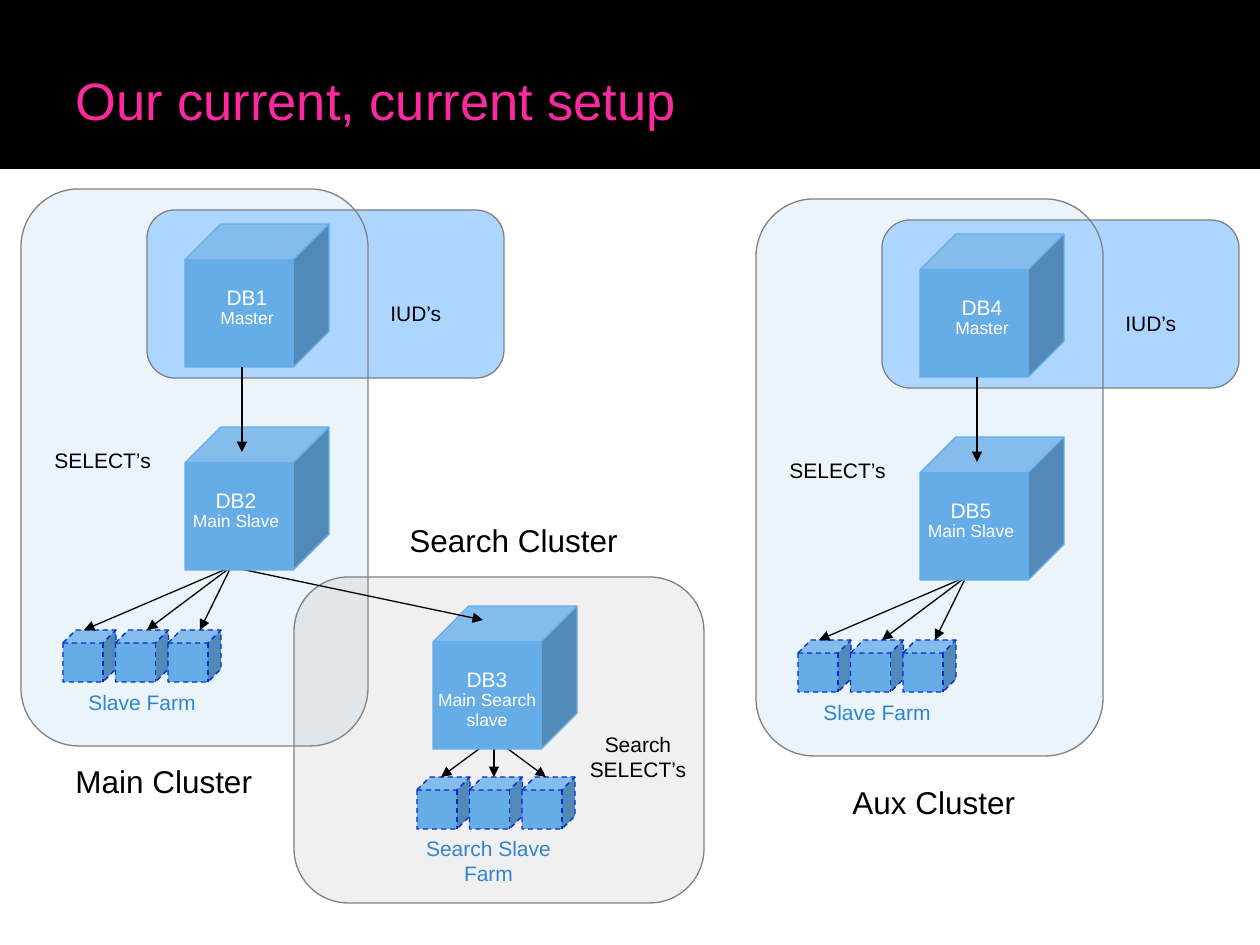
from lxml import etree
from pptx import Presentation
from pptx import util as u
from pptx.dml.color import RGBColor
from pptx.enum import dml, shapes, text
from pptx.oxml import ns

PX = u.Inches(1) / 126
BLACK = RGBColor(0x00, 0x00, 0x00)
WHITE = RGBColor(0xFF, 0xFF, 0xFF)
PINK = RGBColor(0xFF, 0x29, 0x9F)
BLUE = RGBColor(0x66, 0xAC, 0xE7)
PALE_BLUE = RGBColor(0xAC, 0xD6, 0xFF)
FARM_LINE = RGBColor(0x00, 0x2D, 0xCE)
FARM_TEXT = RGBColor(0x32, 0x84, 0xCE)
GRAY = RGBColor(0x80, 0x80, 0x80)
SEARCH_GRAY = RGBColor(0x99, 0x99, 0x99)
RECT = shapes.MSO_SHAPE.RECTANGLE
ROUND = shapes.MSO_SHAPE.ROUNDED_RECTANGLE
CUBE = shapes.MSO_SHAPE.CUBE
LEFT, CENTER = text.PP_ALIGN.LEFT, text.PP_ALIGN.CENTER

deck = Presentation()
deck.slide_width, deck.slide_height = u.Inches(10), u.Inches(7.5)
slide = deck.slides.add_slide(deck.slide_layouts[6])


def add_block(preset, x, y, width, height, fill=None, line=None, opacity=100, dashed=False):
    block = slide.shapes.add_shape(preset, *(round(n * PX) for n in (x, y, width, height)))
    block.shadow.inherit = False
    if fill is None:
        block.fill.background()
    else:
        block.fill.solid()
        block.fill.fore_color.rgb = fill
        if opacity < 100:
            color = block.fill._xPr.find(".//" + ns.qn("a:srgbClr"))
            etree.SubElement(color, ns.qn("a:alpha"), val=str(opacity * 1000))
    if line is None:
        block.line.fill.background()
    else:
        block.line.color.rgb = line
        block.line.width = u.Pt(0.75)
        if dashed:
            block.line.dash_style = dml.MSO_LINE.DASH


def add_arrow(x1, y1, x2, y2):
    arrow = slide.shapes.add_connector(
        shapes.MSO_CONNECTOR.STRAIGHT, *(round(n * PX) for n in (x1, y1, x2, y2)))
    arrow.line.color.rgb = BLACK
    arrow.line.width = u.Pt(0.75)
    etree.SubElement(arrow.line._get_or_add_ln(), ns.qn("a:tailEnd"), type="triangle")
    etree.SubElement(arrow._element.spPr, ns.qn("a:effectLst"))


add_block(RECT, 0, 0, 1260, 168, BLACK, BLACK)

clusters = [(0, 0, "DB1", "DB2"), (735, 10, "DB4", "DB5")]
databases = [(420, 673, 134, 62, ["DB3", "Main Search", "slave"])]
labels = [
    (410, 829, 157, 63, ["Search Slave Farm"], 12, FARM_TEXT, CENTER, True),
    (577, 725, 122, 63, ["Search", "SELECT’s"], 12, BLACK, CENTER, False),
    (63, 756, 202, 50, ["Main Cluster"], 18, BLACK, LEFT, False),
    (840, 777, 188, 50, ["Aux Cluster"], 18, BLACK, LEFT, False),
    (397, 515, 238, 50, ["Search Cluster"], 18, BLACK, LEFT, False),
]

for dx, dy, master, slave in clusters:
    cluster_area = (21 + dx, 189 + dy, 347, 557)
    add_block(ROUND, *cluster_area, fill=BLUE, opacity=13)
    for i in range(3):
        add_block(CUBE, 63 + dx + 52.5 * i, 630 + dy, 53, 52, BLUE, FARM_LINE, dashed=True)
    add_block(ROUND, 147 + dx, 210 + dy, 357, 168, PALE_BLUE, GRAY)
    add_block(CUBE, 185 + dx, 224 + dy, 144, 143, BLUE, BLUE)
    add_block(ROUND, *cluster_area, line=GRAY)
    for farm_x in (84, 147, 200):
        add_arrow(231 + dx, 567 + dy, farm_x + dx, 630 + dy)
    databases += [
        (179 + dx, 291 + dy, 136, 43, [master, "Master"]),
        (168 + dx, 494 + dy, 136, 43, [slave, "Main Slave"]),
    ]
    labels += [
        (63 + dx, 683 + dy, 158, 38, ["Slave Farm"], 12, FARM_TEXT, CENTER, True),
        (378 + dx, 294 + dy, 77, 38, ["IUD’s"], 12, BLACK, LEFT, False),
        (42 + dx, 441 + dy, 122, 38, ["SELECT’s"], 12, BLACK, LEFT, False),
    ]

add_block(ROUND, 294, 577, 410, 326, SEARCH_GRAY, GRAY, opacity=14)
for i in range(3):
    add_block(CUBE, 417 + 52.5 * i, 777, 53, 52, BLUE, FARM_LINE, dashed=True)
for start_x, farm_x in ((483, 441), (494, 494), (504, 546)):
    add_arrow(start_x, 746, farm_x, 777)
add_block(CUBE, 433, 606, 144, 143, BLUE, BLUE)
add_arrow(231, 567, 483, 620)

for dx, dy, master, slave in clusters:
    add_block(CUBE, 185 + dx, 427 + dy, 144, 143, BLUE, BLUE)
    add_arrow(242 + dx, 367 + dy, 242 + dx, 452 + dy)

for x, y, width, height, lines, size, color, align, wrap in labels:
    label = slide.shapes.add_textbox(*(round(n * PX) for n in (x, y, width, height)))
    frame = label.text_frame
    frame.word_wrap = wrap
    frame.auto_size = text.MSO_AUTO_SIZE.SHAPE_TO_FIT_TEXT
    frame.text = "\n".join(lines)
    for paragraph in frame.paragraphs:
        paragraph.alignment = align
        paragraph.font.name = "Arial"
        paragraph.font.size = u.Pt(size)
        paragraph.font.color.rgb = color

for x, y, width, height, lines in databases:
    database = slide.shapes.add_textbox(*(round(n * PX) for n in (x, y, width, height)))
    frame = database.text_frame
    frame.word_wrap = True
    frame.auto_size = text.MSO_AUTO_SIZE.SHAPE_TO_FIT_TEXT
    frame.text = "\n".join(lines)
    for i, paragraph in enumerate(frame.paragraphs):
        paragraph.alignment = CENTER
        paragraph.line_spacing = 0.4
        paragraph.space_before = u.Pt(6.2 if i else 7.5)
        paragraph.font.name = "Arial"
        paragraph.font.size = u.Pt(10 if i else 12)
        paragraph.font.color.rgb = WHITE

title = slide.shapes.add_textbox(*(round(n * PX) for n in (63, 21, 1134, 158)))
title.text_frame.word_wrap = True
title.text_frame.vertical_anchor = text.MSO_ANCHOR.MIDDLE
title.text_frame.text = "Our current, current setup"
heading = title.text_frame.paragraphs[0]
heading.font.name = "Arial"
heading.font.size = u.Pt(30)
heading.font.color.rgb = PINK

deck.save("out.pptx")
